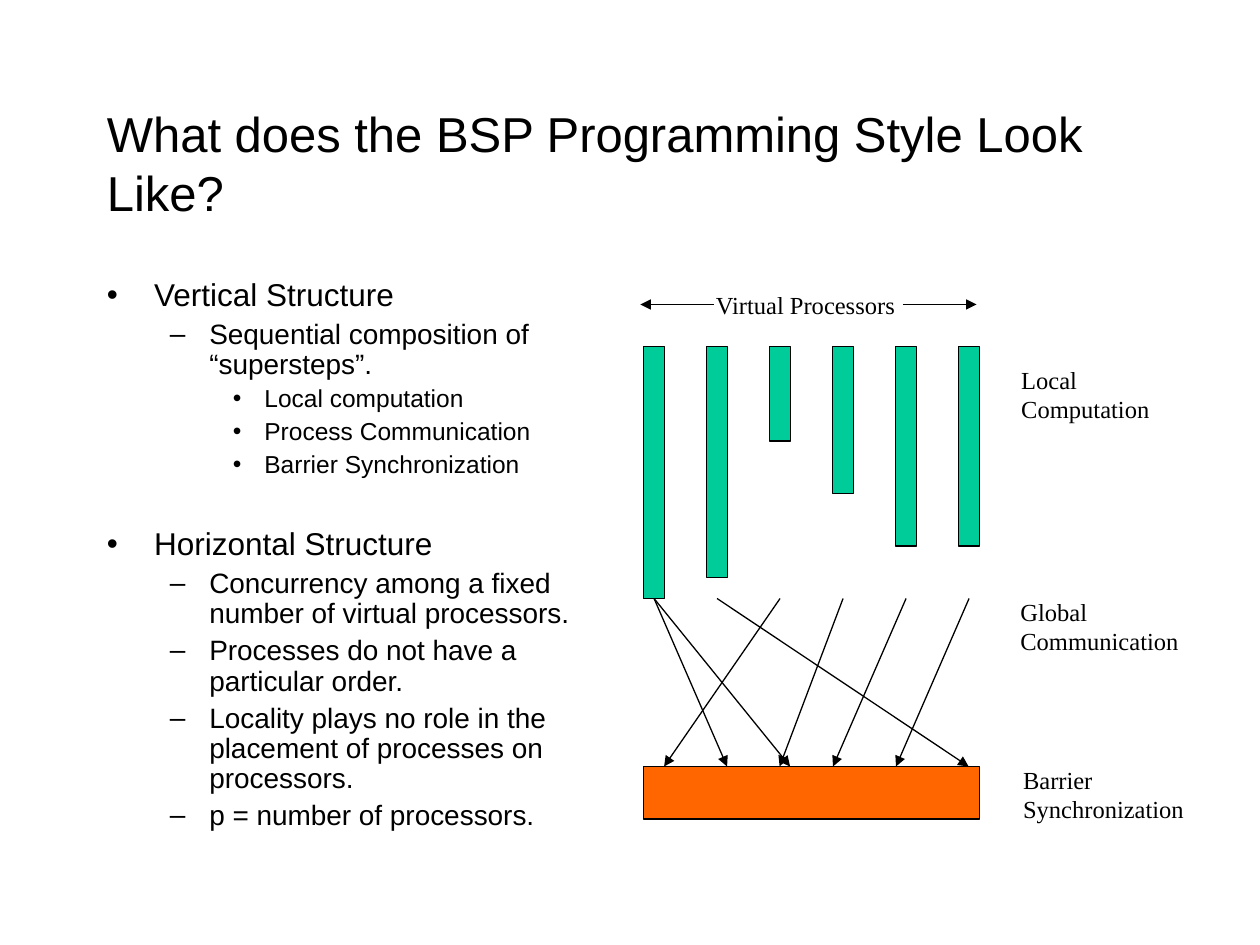
import pptx
import pptx.util
import pptx.dml.color
import pptx.enum.shapes
import pptx.enum.text
import pptx.oxml.ns
import lxml.etree

Pt = pptx.util.Pt
BLACK, GREEN, ORANGE = "000000", "00CC99", "FF6600"


def color(value):
    return pptx.dml.color.RGBColor.from_string(value)


def add_xml(parent, tag, **attrs):
    el = lxml.etree.SubElement(parent, pptx.oxml.ns.qn(tag))
    for name, value in attrs.items():
        el.set(name, str(value))
    return el


class Deck:
    # level: (bullet, margin, hanging indent, font size, space before)
    LEVELS = [
        ("•", 27, 27, 18, 4.5),
        ("–", 58.5, 22.5, 16, 4),
        ("•", 90, 18, 14, 3.5),
    ]

    def __init__(self, width, height):
        self.prs = pptx.Presentation()
        self.prs.slide_width, self.prs.slide_height = Pt(width), Pt(height)
        self.s = self.prs.slides.add_slide(self.prs.slide_layouts[6])

    def font(self, p, name, size):
        p.font.name, p.font.size = name, Pt(size)
        p.font.color.rgb = color(BLACK)

    def frame(self, x, y, w, h, wrap=True):
        tf = self.s.shapes.add_textbox(Pt(x), Pt(y), Pt(w), Pt(h)).text_frame
        tf.word_wrap = wrap
        return tf

    def title(self, x, y, w, h, line):
        tf = self.frame(x, y, w, h)
        tf.vertical_anchor = pptx.enum.text.MSO_ANCHOR.MIDDLE
        tf.text = line
        self.font(tf.paragraphs[0], "Arial", 28)

    def label(self, x, y, w, h, lines):
        tf = self.frame(x, y, w, h, wrap=False)
        tf.auto_size = pptx.enum.text.MSO_AUTO_SIZE.SHAPE_TO_FIT_TEXT
        tf.text = "\n".join(lines)
        for p in tf.paragraphs:
            self.font(p, "Times New Roman", 14)

    def outline(self, x, y, w, h, items, section_gap):
        tf = self.frame(x, y, w, h)
        for i, (level, line) in enumerate(items):
            bullet, margin, hang, size, before = self.LEVELS[level]
            p = tf.add_paragraph() if i else tf.paragraphs[0]
            p.text, p.level, p.line_spacing = line, level, 0.9
            if i:
                p.space_before = Pt(before if level else section_gap)
            pPr = p._p.get_or_add_pPr()
            pPr.set("marL", str(Pt(margin)))
            pPr.set("indent", str(-Pt(hang)))
            add_xml(add_xml(pPr, "a:buClr"), "a:srgbClr", val=BLACK)
            add_xml(pPr, "a:buFont", typeface="Arial")
            add_xml(pPr, "a:buChar", char=bullet)
            self.font(p, "Arial", size)

    def rect(self, x, y, w, h, fill):
        sp = self.s.shapes.add_shape(
            pptx.enum.shapes.MSO_SHAPE.RECTANGLE, Pt(x), Pt(y), Pt(w), Pt(h))
        sp.shadow.inherit = False
        sp.fill.solid()
        sp.fill.fore_color.rgb = color(fill)
        sp.line.color.rgb = color(BLACK)
        sp.line.width = Pt(0.75)

    def arrow(self, x1, y1, x2, y2):
        sp = self.s.shapes.add_connector(
            pptx.enum.shapes.MSO_CONNECTOR.STRAIGHT, Pt(x1), Pt(y1), Pt(x2), Pt(y2))
        sp.line.color.rgb = color(BLACK)
        sp.line.width = Pt(0.75)
        add_xml(sp.line._get_or_add_ln(), "a:tailEnd", type="triangle")
        add_xml(sp._element.spPr, "a:effectLst")


def main():
    deck = Deck(720, 540)

    # Title and outline
    deck.title(54, 48, 612, 90, "What does the BSP Programming Style Look Like?")
    deck.outline(54, 156, 300, 324, [
        (0, "Vertical Structure"),
        (1, "Sequential composition of “supersteps”."),
        (2, "Local computation"),
        (2, "Process Communication"),
        (2, "Barrier Synchronization"),
        (0, "Horizontal Structure"),
        (1, "Concurrency among a fixed number of virtual processors."),
        (1, "Processes do not have a particular order."),
        (1, "Locality plays no role in the placement of processes on processors."),
        (1, "p = number of processors."),
    ], section_gap=28.5)

    # Processors: bar length is the local computation time
    left, top, bar, step = 367.75, 198, 12, 36
    lengths = [144, 132, 54, 84, 114, 114]
    for i, length in enumerate(lengths):
        deck.rect(left + i * step, top, bar, length, GREEN)

    # Barrier
    barrier = 438
    deck.rect(left, barrier, (len(lengths) - 1) * step + bar, 30, ORANGE)

    # Communication: (sending processor, arrival on the barrier)
    for sender, arrival in [(0, 415.5), (0, 451.5), (1, 553.5), (2, 379.5),
                            (3, 445.5), (4, 476), (5, 512)]:
        deck.arrow(left + bar / 2 + sender * step, top + max(lengths), arrival, barrier)

    # Span of the processors
    deck.label(402, 162, 117, 24.5, ["Virtual Processors"])
    deck.arrow(516, 174, 558, 174)
    deck.arrow(408, 174, 366, 174)

    # Phase labels
    for x, y, w, lines in [
        (576.5, 205, 88, ["Local", "Computation"]),
        (576, 337.5, 105, ["Global", "Communication"]),
        (577.5, 433.5, 107, ["Barrier", "Synchronization"]),
    ]:
        deck.label(x, y, w, 41, lines)

    deck.prs.save("out.pptx")


if __name__ == "__main__":
    main()
